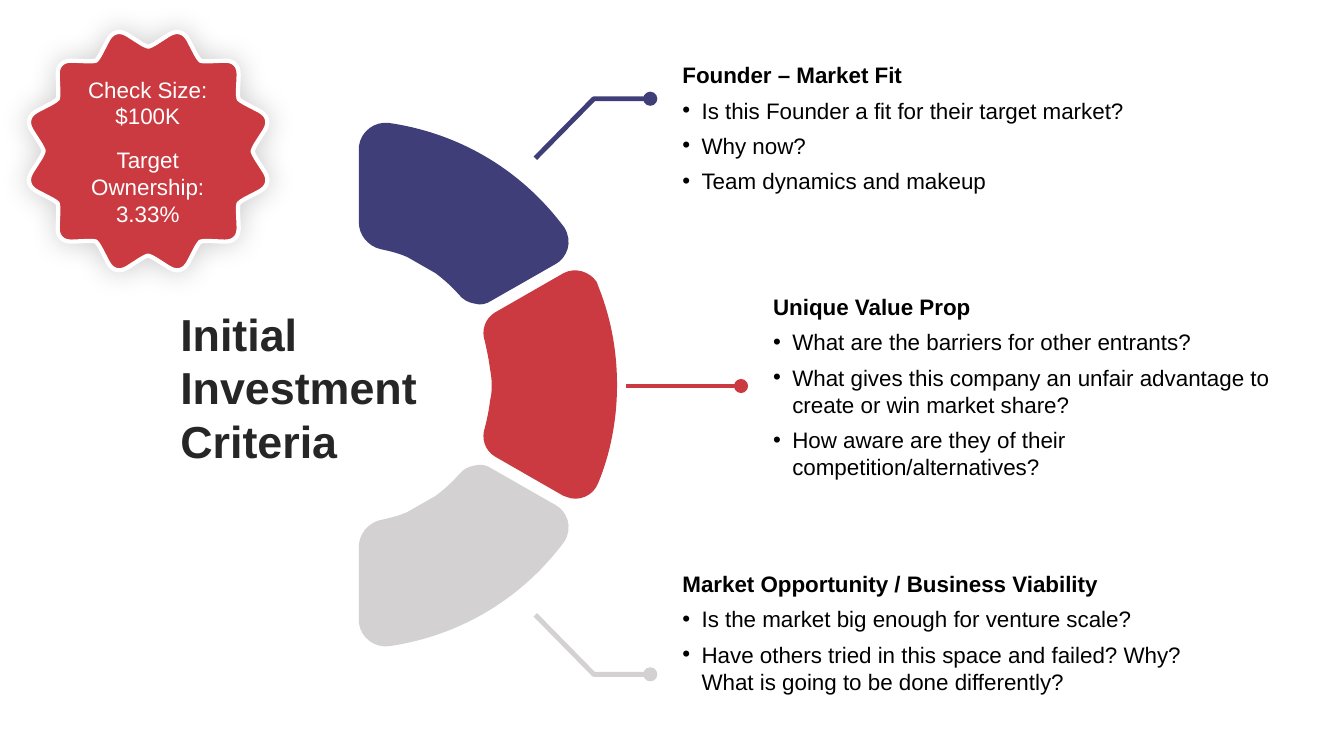
from dataclasses import dataclass
from math import cos, radians, sin

from lxml.etree import SubElement
from pptx import Presentation
from pptx.dml.color import RGBColor
from pptx.enum.shapes import MSO_CONNECTOR, MSO_SHAPE
from pptx.enum.text import MSO_ANCHOR, MSO_AUTO_SIZE, PP_ALIGN
from pptx.oxml.ns import qn
from pptx.util import Cm, Pt


@dataclass(frozen=True)
class Theme:
    navy: str = "403E78"
    red: str = "CA3A40"
    grey: str = "D3D1D1"
    dark: str = "262626"
    black: str = "000000"
    white: str = "FFFFFF"
    font: str = "Arial"
    title: int = 32
    body: int = 16
    line: float = 3.5
    edge: float = 3


@dataclass(frozen=True)
class Line:
    text: str
    bold: bool = False
    bullet: bool = False
    space: int = 0


@dataclass(frozen=True)
class Topic:
    color: str
    wedge: list
    route: list
    box: tuple
    anchor: MSO_ANCHOR
    head: str
    items: list


THEME = Theme()
DOT = 0.14


def inch(value: float) -> Cm:
    return Cm(value * 2.54)


def rgb(color: str) -> RGBColor:
    return RGBColor.from_string(color)


def pairs(step: tuple) -> list:
    return list(zip(step[::2], step[1::2]))


def flip(route: list, total: float) -> list:
    """Mirror a route top to bottom; total is twice the height of the axis."""
    return [tuple(total - v if i % 2 else v for i, v in enumerate(step)) for step in route]


def draw(shapes, route: list, fill: str = "", line: str = "", width: float = 0):
    """Draw steps of two numbers as lines and steps of six as Bezier curves."""
    ends = [(inch(step[-2]), inch(step[-1])) for step in route]
    pen = shapes.build_freeform(*ends[0], scale=1.0)
    pen.add_line_segments(ends[1:], close=bool(fill))
    shape = pen.convert_to_shape()
    for side, step in zip(list(shape._element.iter(qn("a:lnTo"))), route[1:]):
        if len(step) == 6:
            side.clear()
            side.tag = qn("a:cubicBezTo")
            for x, y in pairs(step):
                knot = SubElement(side, qn("a:pt"))
                knot.set("x", str(inch(x) - shape.left))
                knot.set("y", str(inch(y) - shape.top))
    shape.shadow.inherit = False
    if fill:
        shape.fill.solid()
        shape.fill.fore_color.rgb = rgb(fill)
    else:
        shape.fill.background()
    if line:
        shape.line.color.rgb = rgb(line)
        shape.line.width = Pt(width)
    else:
        shape.line.fill.background()
    return shape


def write(shapes, box: tuple, lines: list, color: str, size: int,
          anchor: MSO_ANCHOR, align: PP_ALIGN = PP_ALIGN.LEFT) -> None:
    frame = shapes.add_textbox(*map(inch, box)).text_frame
    form = {"word_wrap": True, "auto_size": MSO_AUTO_SIZE.SHAPE_TO_FIT_TEXT,
            "vertical_anchor": anchor, "margin_left": inch(0.1), "margin_right": inch(0.1),
            "margin_top": inch(0.05), "margin_bottom": inch(0.05)}
    for name, value in form.items():
        setattr(frame, name, value)
    for n, line in enumerate(lines):
        par = frame.add_paragraph() if n else frame.paragraphs[0]
        par.alignment = align
        if line.space:
            par.space_before = Pt(line.space)
        if line.bullet:
            props = par._p.get_or_add_pPr()
            props.set("marL", str(inch(0.19)))
            props.set("indent", str(-inch(0.19)))
            SubElement(props, qn("a:buFont")).set("typeface", THEME.font)
            SubElement(props, qn("a:buChar")).set("char", "•")
        run = par.add_run()
        run.text = line.text
        for name, value in {"name": THEME.font, "size": Pt(size), "bold": line.bold}.items():
            setattr(run.font, name, value)
        run.font.color.rgb = rgb(color)


def lead(shapes, route: list, color: str) -> None:
    """Draw a leader line and the dot at its end."""
    if len(route) == 2:
        ends = [inch(v) for point in route for v in point]
        link = shapes.add_connector(MSO_CONNECTOR.STRAIGHT, *ends)
        link.line.color.rgb = rgb(color)
        link.line.width = Pt(THEME.line)
        SubElement(link._element.spPr, qn("a:effectLst"))
    else:
        draw(shapes, route, line=color, width=THEME.line)
    x, y = route[-1]
    dot = shapes.add_shape(MSO_SHAPE.OVAL, inch(x - 0.1), inch(y - DOT / 2), inch(DOT), inch(DOT))
    dot.shadow.inherit = False
    dot.fill.solid()
    dot.fill.fore_color.rgb = rgb(color)
    dot.line.fill.background()


def badge(shapes, x: float, y: float, teeth: int = 12) -> None:
    """Draw a round seal by turning one tooth about the centre."""
    tooth = [(1.01, -0.25, 1.03, -0.23, 1.05, -0.21), (1.17, -0.1),
             (1.2, -0.07, 1.22, -0.04, 1.22, 0), (1.22, 0.04, 1.2, 0.07, 1.17, 0.1),
             (1.05, 0.21), (1.03, 0.23, 1.01, 0.25, 1, 0.27)]
    route = []
    for n in range(teeth):
        turn = radians((n + 0.5) * 360 / teeth)
        for step in tooth:
            spun = [(x + u * cos(turn) - v * sin(turn), y + u * sin(turn) + v * cos(turn))
                    for u, v in pairs(step)]
            route.append(sum(spun, ()))
    route.insert(0, route[-1][-2:])
    group = shapes.add_group_shape().shapes
    seal = draw(group, route, THEME.red, THEME.white, THEME.edge)
    glow = SubElement(seal._element.spPr.find(qn("a:effectLst")), qn("a:outerShdw"))
    for name, value in {"blurRad": Pt(20), "dist": 0, "dir": 0, "algn": "ctr", "rotWithShape": 0}.items():
        glow.set(name, str(value))
    tint = SubElement(glow, qn("a:srgbClr"))
    tint.set("val", THEME.black)
    SubElement(tint, qn("a:alpha")).set("val", "20000")
    lines = [Line("Check Size: $100K"), Line("Target", space=12), Line("Ownership:"), Line("3.33%")]
    write(group, (0.49, 0.69, 1.95, 1.62), lines, THEME.white, THEME.body,
          MSO_ANCHOR.MIDDLE, PP_ALIGN.CENTER)


# Outlines of the ring parts and leader lines
UPPER = [(3.56, 1.49), (3.56, 2.21), (3.56, 2.33, 3.65, 2.44, 3.77, 2.47),
         (3.86, 2.49, 3.95, 2.51, 4.04, 2.55), (4.32, 2.71),
         (4.4, 2.77, 4.48, 2.84, 4.55, 2.92), (4.59, 2.97, 4.64, 3, 4.7, 3.01),
         (4.77, 3.03, 4.82, 3.02, 4.88, 2.98), (5.51, 2.62),
         (5.57, 2.59, 5.61, 2.53, 5.63, 2.47), (5.65, 2.4, 5.64, 2.33, 5.6, 2.26),
         (5.17, 1.68, 4.55, 1.32, 3.86, 1.22), (3.72, 1.2, 3.58, 1.3, 3.56, 1.45)]
MIDDLE = [(4.86, 3.66), (4.85, 3.57, 4.83, 3.48, 4.81, 3.39),
          (4.77, 3.28, 4.81, 3.16, 4.91, 3.1), (5.59, 2.71),
          (5.7, 2.65, 5.85, 2.69, 5.92, 2.8), (5.93, 2.83),
          (6.06, 3.15, 6.12, 3.48, 6.12, 3.82), (6.12, 4.15, 6.06, 4.49, 5.93, 4.8),
          (5.88, 4.92, 5.74, 4.98, 5.62, 4.93), (5.59, 4.92), (4.91, 4.53),
          (4.81, 4.47, 4.77, 4.35, 4.81, 4.24), (4.83, 4.16, 4.85, 4.07, 4.86, 3.98),
          (4.9, 3.83, 4.86, 3.66, 4.86, 3.66)]
ELBOW = [(5.31, 1.57), (5.89, 0.98), (6.48, 0.98)]

TOPICS = [
    Topic(THEME.navy, UPPER, ELBOW, (6.67, 0.56, 5.34, 1.43), MSO_ANCHOR.TOP,
          "Founder – Market Fit",
          ["Is this Founder a fit for their target market?", "Why now?",
           "Team dynamics and makeup"]),
    Topic(THEME.red, MIDDLE, [(6.21, 3.83), (7.38, 3.83)], (7.57, 2.85, 5.34, 1.97),
          MSO_ANCHOR.MIDDLE, "Unique Value Prop",
          ["What are the barriers for other entrants?",
           "What gives this company an unfair advantage to create or win market share?",
           "How aware are they of their competition/alternatives?"]),
    Topic(THEME.grey, flip(UPPER, 7.63), flip(ELBOW, 7.67), (6.67, 5.59, 5.34, 1.35),
          MSO_ANCHOR.BOTTOM, "Market Opportunity / Business Viability",
          ["Is the market big enough for venture scale?",
           "Have others tried in this space and failed? Why? What is going to be done differently?"]),
]


def main() -> None:
    deck = Presentation()
    deck.slide_width, deck.slide_height = inch(13.33), inch(7.5)
    shapes = deck.slides.add_slide(deck.slide_layouts[6]).shapes

    # Title
    write(shapes, (1.69, 2.99, 3.1, 1.7), [Line("Initial Investment Criteria", bold=True)],
          THEME.dark, THEME.title, MSO_ANCHOR.MIDDLE)

    # Ring parts with their leaders and notes
    for topic in TOPICS:
        draw(shapes, topic.wedge, topic.color)
        lead(shapes, topic.route, topic.color)
        lines = [Line(topic.head, bold=True)]
        lines += [Line(item, bullet=True, space=6) for item in topic.items]
        write(shapes, topic.box, lines, THEME.black, THEME.body, topic.anchor)

    # Seal
    badge(shapes, 1.47, 1.5)
    deck.save("out.pptx")


if __name__ == "__main__":
    main()
